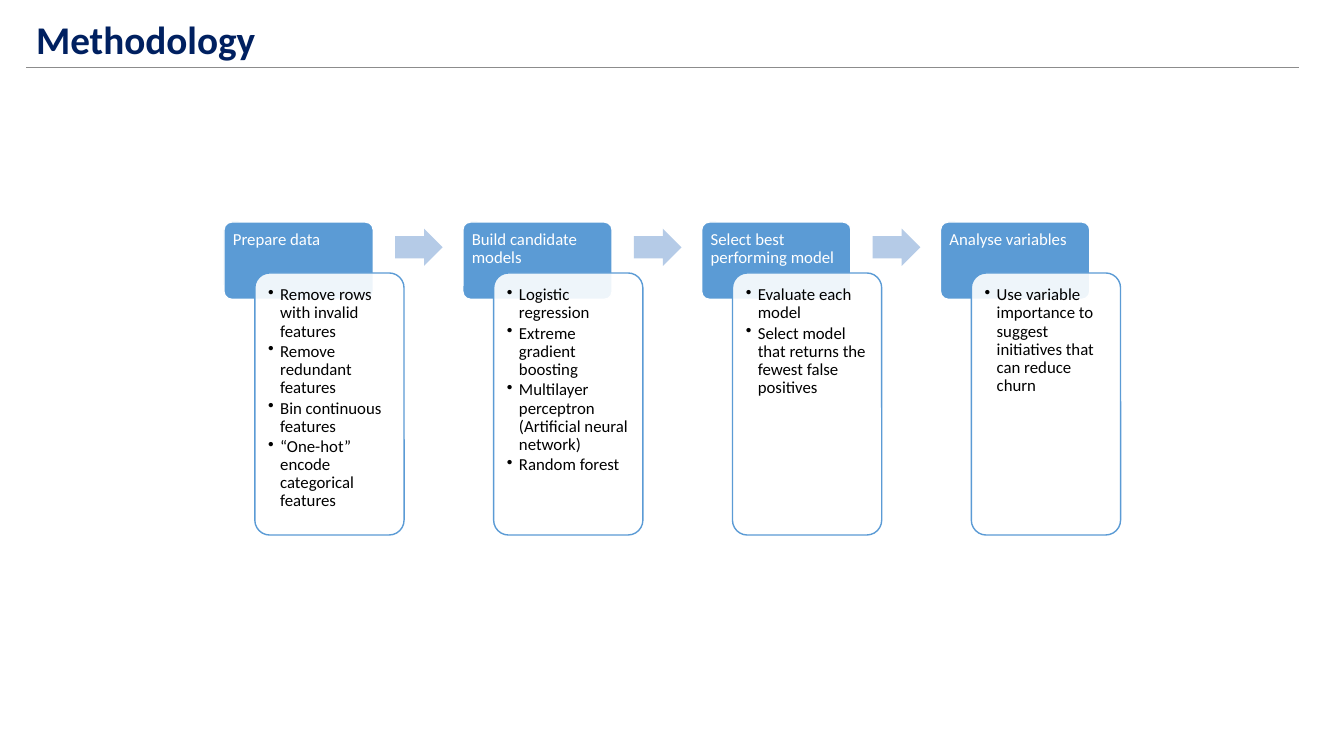
from lxml import etree
from pptx import Presentation
from pptx.dml.color import RGBColor
from pptx.enum.shapes import MSO_CONNECTOR, MSO_SHAPE
from pptx.enum.text import MSO_ANCHOR, PP_ALIGN
from pptx.oxml.ns import qn
from pptx.util import Pt

ROUNDED = MSO_SHAPE.ROUNDED_RECTANGLE
ARROW = MSO_SHAPE.RIGHT_ARROW
STRAIGHT = MSO_CONNECTOR.STRAIGHT
TOP, MIDDLE = MSO_ANCHOR.TOP, MSO_ANCHOR.MIDDLE
LEFT = PP_ALIGN.LEFT

TITLE = "Methodology"
STEPS = [
    ("Prepare data", [
        "Remove rows with invalid features",
        "Remove redundant features",
        "Bin continuous features",
        "“One-hot” encode categorical features",
    ]),
    ("Build candidate models", [
        "Logistic regression",
        "Extreme gradient boosting",
        "Multilayer perceptron (Artificial neural network)",
        "Random forest",
    ]),
    ("Select best performing model", [
        "Evaluate each model",
        "Select model that returns the fewest false positives",
    ]),
    ("Analyse variables", [
        "Use variable importance to suggest initiatives that can reduce churn",
    ]),
]

FONT = "Calibri"
NAVY, BLUE, PALE_BLUE = "002060", "5B9BD5", "B5CBE7"
WHITE, BLACK, GREY = "FFFFFF", "000000", "8C8C8C"

STEP_LEFT, STEP_TOP, STEP_PITCH = 160, 158.6, 170.6
STEP_WIDTH, HEADER_HEIGHT, CARD_HEIGHT = 106.6, 55.2, 187.2
CARD_SHIFT_X, CARD_SHIFT_Y = 22, 36.4
ARROW_SHIFT_X, ARROW_SHIFT_Y, ARROW_WIDTH, ARROW_HEIGHT = 122.2, 4.8, 34, 26.6
BULLET_INDENT = 8.6


def color(hex_value):
    return RGBColor.from_string(hex_value)


def add_figure(page, kind, left, top, width, height, fill, line=None, adjustments=(0.1,)):
    shape = page.shapes.add_shape(kind, Pt(left), Pt(top), Pt(width), Pt(height))
    shape.shadow.inherit = False
    for index, value in enumerate(adjustments):
        shape.adjustments[index] = value
    shape.fill.solid()
    shape.fill.fore_color.rgb = color(fill)
    if line:
        shape.line.color.rgb = color(line)
        shape.line.width = Pt(1)
    else:
        shape.line.fill.background()
    return shape


def write(box, texts, size, ink, inset, anchor=TOP, after=0, bold=False, bullets=False):
    frame = box.text_frame
    frame.word_wrap = True
    frame.vertical_anchor = anchor
    frame.margin_left = frame.margin_right = Pt(inset[0])
    frame.margin_top = frame.margin_bottom = Pt(inset[1])
    for index, text in enumerate(texts):
        para = frame.add_paragraph() if index else frame.paragraphs[0]
        para.alignment = LEFT
        para.line_spacing = 0.9
        para.space_after = Pt(after)
        if bullets:
            properties = para._p.get_or_add_pPr()
            properties.set("marL", str(Pt(BULLET_INDENT)))
            properties.set("indent", str(-Pt(BULLET_INDENT)))
            etree.SubElement(properties, qn("a:buChar")).set("char", "•")
        span = para.add_run()
        span.text = text
        span.font.name = FONT
        span.font.size = Pt(size)
        span.font.bold = bold
        span.font.color.rgb = color(ink)


def set_opacity(shape, percent):
    fill_color = shape.fill._xPr.find(qn("a:solidFill"))[0]
    etree.SubElement(fill_color, qn("a:alpha")).set("val", str(percent * 1000))


def add_heading(page):
    rule = page.shapes.add_connector(STRAIGHT, Pt(18.7), Pt(48.4), Pt(928), Pt(48.4))
    rule.line.color.rgb = color(GREY)
    rule.line.width = Pt(0.5)
    etree.SubElement(rule._element.spPr, qn("a:effectLst"))
    title = page.shapes.add_textbox(Pt(18.7), Pt(10.8), Pt(816), Pt(38))
    write(title, [TITLE], 28, NAVY, (7.2, 3.6), MIDDLE, bold=True)


def add_step(page, left, name, tasks):
    header = add_figure(page, ROUNDED, left, STEP_TOP, STEP_WIDTH, HEADER_HEIGHT, BLUE, WHITE)
    write(header, [name], 12, WHITE, (4.8, 5))
    card = add_figure(page, ROUNDED, left + CARD_SHIFT_X, STEP_TOP + CARD_SHIFT_Y,
                      STEP_WIDTH, CARD_HEIGHT, WHITE, BLUE)
    set_opacity(card, 90)
    write(card, tasks, 12, BLACK, (6.4, 6.4), after=1.6, bullets=True)


def main():
    deck = Presentation()
    deck.slide_width, deck.slide_height = Pt(960), Pt(540)
    page = deck.slides.add_slide(deck.slide_layouts[6])
    add_heading(page)
    for index, (name, tasks) in enumerate(STEPS):
        left = STEP_LEFT + index * STEP_PITCH
        add_step(page, left, name, tasks)
        if index < len(STEPS) - 1:
            add_figure(page, ARROW, left + ARROW_SHIFT_X, STEP_TOP + ARROW_SHIFT_Y,
                       ARROW_WIDTH, ARROW_HEIGHT, PALE_BLUE, adjustments=(0.6, 0.5))
    deck.save("out.pptx")


if __name__ == "__main__":
    main()
